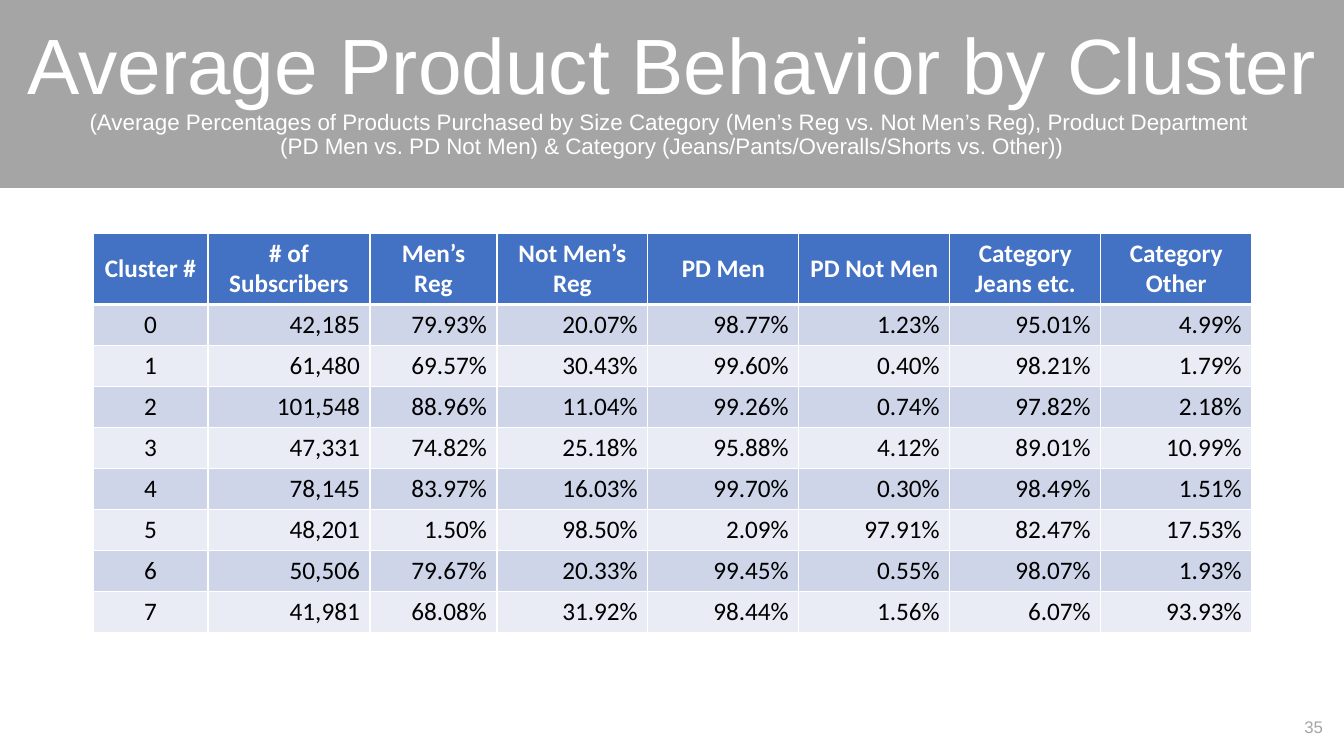
from lxml.etree import SubElement
from pptx import Presentation
from pptx.dml.color import RGBColor
from pptx.enum.shapes import MSO_SHAPE
from pptx.enum.text import MSO_ANCHOR, MSO_AUTO_SIZE, PP_ALIGN
from pptx.oxml.ns import qn
from pptx.util import Pt

PX = 914400 / 100.8
GREY, WHITE = "A5A5A5", "FFFFFF"


def box(*nums):
    """Turn pixel lengths into EMU."""
    return [round(n * PX) for n in nums]


def write(para, text, size, color, align, font="Arial", bold=False):
    para.alignment = align
    run = para.add_run()
    run.text = text
    run.font.name, run.font.size, run.font.bold = font, Pt(size), bold
    run.font.color.rgb = RGBColor.from_string(color)


deck = Presentation()
deck.slide_width, deck.slide_height = box(1344, 756)
slide = deck.slides.add_slide(deck.slide_layouts[5])
shapes = slide.shapes

# Header band, kept behind the title
band = shapes.add_shape(MSO_SHAPE.RECTANGLE, *box(0, -5, 1344, 192))
band.shadow.inherit = False
band.fill.solid()
band.fill.fore_color.rgb = RGBColor.from_string(GREY)
band.line.color.rgb = RGBColor.from_string(GREY)
band.line.width = Pt(1)

title = shapes.title
band._element.addnext(title._element)
title.left, title.top, title.width, title.height = box(0, 0, 1344, 186)
frame = title.text_frame
frame.word_wrap = True
frame.auto_size = MSO_AUTO_SIZE.NONE
frame.vertical_anchor = MSO_ANCHOR.MIDDLE
lines = [
    ("Average Product Behavior by Cluster", 56),
    ("(Average Percentages of Products Purchased by Size Category "
     "(Men’s Reg vs. Not Men’s Reg), Product Department ", 16),
    ("(PD Men vs. PD Not Men) & Category "
     "(Jeans/Pants/Overalls/Shorts vs. Other))", 16),
]
for i, (text, size) in enumerate(lines):
    para = frame.add_paragraph() if i else frame.paragraphs[0]
    para.line_spacing = 0.9
    para.space_before = Pt(0)
    write(para, text, size, WHITE, PP_ALIGN.CENTER)

# Cluster table
heads = ["Cluster #", "# of Subscribers", "Men’s Reg", "Not Men’s Reg",
         "PD Men", "PD Not Men", "Category Jeans etc.", "Category Other"]
data = [
    ["0", "42,185", "79.93%", "20.07%", "98.77%", "1.23%", "95.01%", "4.99%"],
    ["1", "61,480", "69.57%", "30.43%", "99.60%", "0.40%", "98.21%", "1.79%"],
    ["2", "101,548", "88.96%", "11.04%", "99.26%", "0.74%", "97.82%", "2.18%"],
    ["3", "47,331", "74.82%", "25.18%", "95.88%", "4.12%", "89.01%", "10.99%"],
    ["4", "78,145", "83.97%", "16.03%", "99.70%", "0.30%", "98.49%", "1.51%"],
    ["5", "48,201", "1.50%", "98.50%", "2.09%", "97.91%", "82.47%", "17.53%"],
    ["6", "50,506", "79.67%", "20.33%", "99.45%", "0.55%", "98.07%", "1.93%"],
    ["7", "41,981", "68.08%", "31.92%", "98.44%", "1.56%", "6.07%", "93.93%"],
]
rows = [heads] + data
widths = [115, 162, 127] + [151] * 5
heights = [71] + [41] * len(data)
table = shapes.add_table(len(rows), len(heads),
                         *box(93, 233, sum(widths), sum(heights))).table
for col, width in zip(table.columns, box(*widths)):
    col.width = width
for row, height in zip(table.rows, box(*heights)):
    row.height = height

for r, row in enumerate(rows):
    for c, text in enumerate(row):
        cell = table.cell(r, c)
        head = r == 0
        centred = head or c == 0
        write(cell.text_frame.paragraphs[0], text, 18,
              WHITE if head else "000000",
              PP_ALIGN.CENTER if centred else PP_ALIGN.RIGHT, "Calibri", head)
        cell.vertical_anchor = MSO_ANCHOR.MIDDLE if head else MSO_ANCHOR.TOP
        for side in "LRTB":
            thick = (r, side) in [(0, "B"), (1, "T")]
            edge = SubElement(cell._tc.get_or_add_tcPr(), qn(f"a:ln{side}"),
                              w=str(Pt(3 if thick else 1)))
            paint = SubElement(edge, qn("a:solidFill"))
            SubElement(paint, qn("a:srgbClr"), val=WHITE)
        cell.fill.solid()
        shade = "4371C3" if head else "CFD5E9" if r % 2 else "E9EBF5"
        cell.fill.fore_color.rgb = RGBColor.from_string(shade)

# Page number
page = shapes.add_textbox(*box(1263, 707, 70, 40)).text_frame
page.word_wrap = True
page.vertical_anchor = MSO_ANCHOR.MIDDLE
write(page.paragraphs[0], "35", 12, "A4A5A4", PP_ALIGN.RIGHT)

deck.save("out.pptx")
